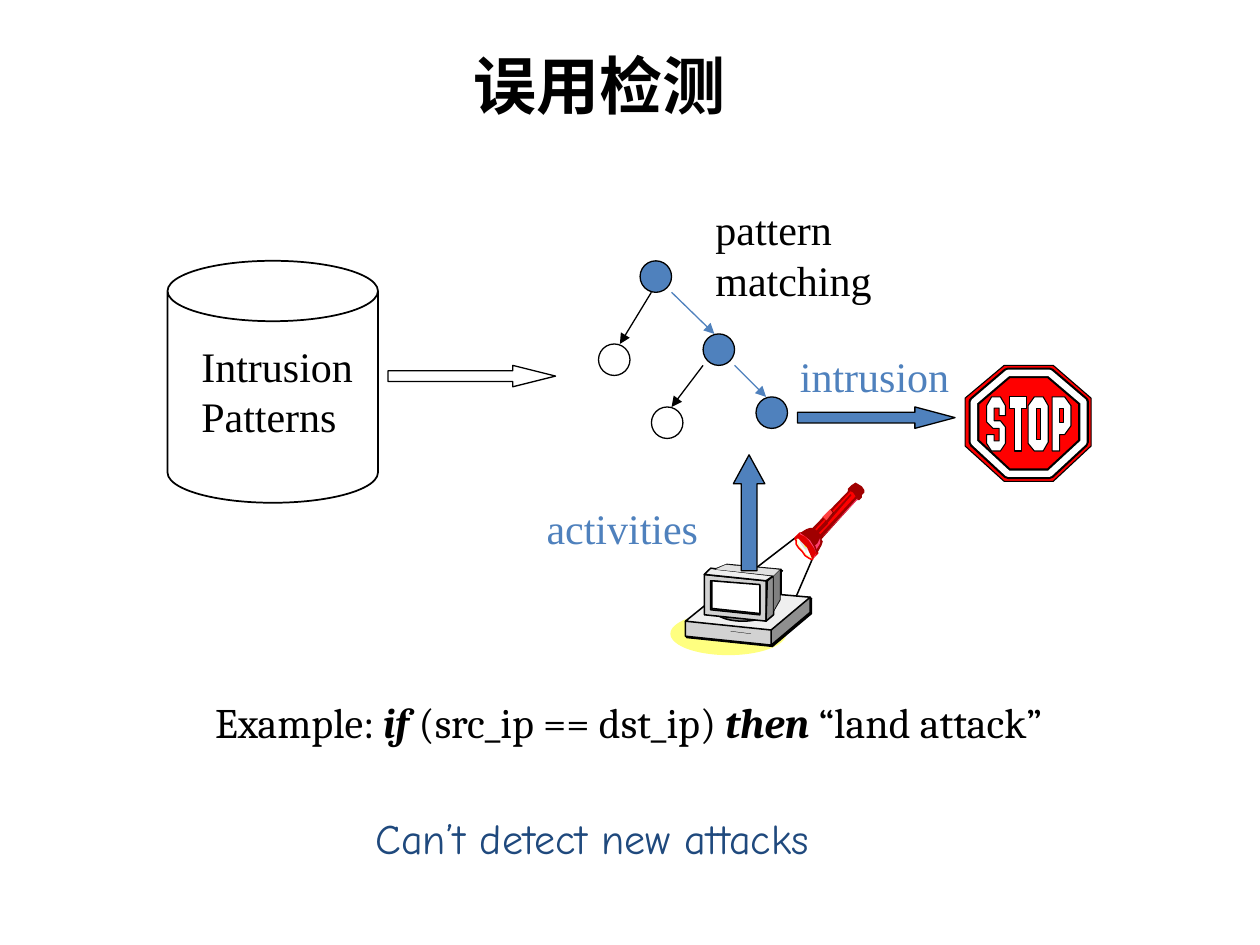
from lxml.etree import SubElement
from pptx import Presentation
from pptx.dml.color import RGBColor
from pptx.enum.shapes import MSO_CONNECTOR, MSO_SHAPE
from pptx.enum.text import MSO_ANCHOR, MSO_AUTO_SIZE, PP_ALIGN
from pptx.oxml.ns import qn
from pptx.util import Inches, Pt

BLACK = RGBColor(0x00, 0x00, 0x00)
WHITE = RGBColor(0xFF, 0xFF, 0xFF)
BLUE = RGBColor(0x4F, 0x81, 0xBD)
NAVY = RGBColor(0x1F, 0x49, 0x7D)
RED = RGBColor(0xFF, 0x00, 0x00)
ROSE = RGBColor(0xFF, 0x40, 0x70)
CORAL = RGBColor(0xFF, 0x40, 0x40)
CRIMSON = RGBColor(0xE1, 0x00, 0x00)
BRICK = RGBColor(0xC2, 0x00, 0x00)
DARK_RED = RGBColor(0xA0, 0x00, 0x00)
MAROON = RGBColor(0x80, 0x00, 0x00)
YELLOW = RGBColor(0xFF, 0xFF, 0x00)
GLOW = RGBColor(0xFF, 0xFF, 0x80)
CREAM = RGBColor(0xFF, 0xFF, 0xC2)
PALE = RGBColor(0xEF, 0xEF, 0xEF)
SILVER = RGBColor(0xE1, 0xE1, 0xE1)
LIGHT_GRAY = RGBColor(0xD2, 0xD2, 0xD2)
MID_GRAY = RGBColor(0x8F, 0x8F, 0x8F)
GRAY = RGBColor(0x80, 0x80, 0x80)
DARK_GRAY = RGBColor(0x5F, 0x5F, 0x5F)

THIN, FINE, HAIR, SIGN = 0.75, 0.88, 0.13, 0.63  # line widths in points

# Content: labels (text, left, top, width, height, colour)
LABELS = [
    ("Intrusion Patterns", 1.5, 2.65, 1.67, 0.9, BLACK),
    ("activities", 4.24, 3.94, 1.5, 0.5, BLUE),
    ("pattern matching", 5.58, 1.57, 1.67, 0.9, BLACK),
    ("intrusion", 6.25, 2.73, 1.58, 0.5, BLUE),
]
EXAMPLE = [("Example: ", False), ("if", True), (" (src_ip == dst_ip) ", False),
           ("then", True), (" “land attack”", False)]

# Pattern tree: nodes (left, top, fill) and edges (from, to, colour)
NODES = [(5.08, 2.07, BLUE), (5.58, 2.65, BLUE), (4.75, 2.73, None),
         (6, 3.15, BLUE), (5.17, 3.23, None)]
EDGES = [(5.17, 2.32, 4.92, 2.73, BLACK), (5.33, 2.32, 5.67, 2.65, BLUE),
         (5.58, 2.9, 5.33, 3.23, BLACK), (5.83, 2.9, 6.08, 3.15, BLUE)]

# Block arrows (shape, box, head adjustment, fill)
UP_ARROW = (MSO_SHAPE.UP_ARROW, (5.82, 3.61, 0.25, 0.92), 0.917, BLUE)
SIDE_ARROWS = [(MSO_SHAPE.RIGHT_ARROW, (3.08, 2.9, 1.33, 0.17), 2, None),
               (MSO_SHAPE.RIGHT_ARROW, (6.33, 3.23, 1.25, 0.17), 1.875, BLUE)]

# Outlines: (points, fill, line colour, line width)
BEAMS = [(6.31, 4.27, 5.4, 4.97), (6.45, 4.43, 6.23, 4.94)]
LENS = [
    ("6.32,4.27 6.31,4.28 6.32,4.29 6.32,4.32 6.34,4.35 6.37,4.38 6.39,4.41 6.42,4.43 6.44,4.44 "
     "6.45,4.44 6.45,4.41 6.44,4.38 6.4,4.32 6.35,4.27 6.33,4.26 6.32,4.26", CREAM, RED, FINE),
    ("6.33,4.27 6.34,4.31 6.38,4.37 6.42,4.41 6.45,4.41 6.45,4.39 6.44,4.37 6.4,4.31 6.36,4.28 "
     "6.34,4.27", PALE, None, 0),
    ("6.34,4.28 6.36,4.33 6.39,4.36 6.41,4.36 6.39,4.31 6.36,4.28", SILVER, None, 0),
    ("6.4,4.39 6.42,4.4 6.44,4.4 6.43,4.38 6.43,4.37 6.42,4.36 6.41,4.38 6.42,4.39 6.43,4.39 "
     "6.44,4.4 6.42,4.4", WHITE, WHITE, FINE),
    ("6.38,4.32 6.39,4.34 6.4,4.35 6.4,4.33", YELLOW, None, 0),
]
LENS_GLINT = "6.34,4.28 6.34,4.3 6.35,4.32 6.39,4.38"
TORCH = [
    ("6.45,4.43 6.41,4.34 6.36,4.29 6.34,4.27 6.31,4.27 6.35,4.23 6.4,4.26 6.43,4.29 6.47,4.34 "
     "6.49,4.39", CRIMSON, CRIMSON, FINE),
    ("6.48,4.4 6.52,4.33 6.53,4.3 6.52,4.28 6.8,3.97 6.82,3.97 6.84,3.95 6.84,3.93 6.86,3.91 "
     "6.86,3.89 6.84,3.86 6.79,3.83 6.76,3.85 6.75,3.86 6.73,3.88 6.73,3.9 6.45,4.19 6.43,4.19 "
     "6.4,4.2 6.35,4.23 6.4,4.26 6.43,4.3 6.48,4.39", DARK_RED, None, 0),
    ("6.76,3.93 6.75,3.92 6.48,4.21 6.47,4.2 6.75,3.9 6.77,3.91 6.79,3.94 6.51,4.24 6.5,4.23 "
     "6.56,4.17 6.57,4.16 6.57,4.15", RED, None, 0),
    ("6.47,4.33 6.49,4.31 6.5,4.29 6.51,4.27 6.51,4.31 6.48,4.36 6.48,4.35", ROSE, None, 0),
    ("6.56,4.14 6.53,4.11 6.53,4.1 6.56,4.13", BRICK, None, 0),
    ("6.53,4.1 6.59,4.04 6.61,4.07 6.56,4.13", CORAL, None, 0),
    ("6.55,4.14 6.56,4.13 6.61,4.07 6.62,4.07", MAROON, None, 0),
    ("6.59,4.04 6.62,4.07 6.61,4.07", MAROON, None, 0),
    ("6.53,4.26 6.81,3.96 6.8,3.96", ROSE, None, 0),
    ("6.46,4.42 6.48,4.39 6.46,4.35 6.42,4.29 6.39,4.26 6.35,4.24 6.35,4.23 6.43,4.29 6.46,4.34 "
     "6.48,4.39 6.46,4.43", ROSE, None, 0),
]
COMPUTER_BASE = [
    ("5.67,4.52 5.77,4.48 6.2,4.52 6.12,4.59", PALE, BLACK, FINE),
    ("6.12,5 6.12,5.12 6.43,4.86 6.43,4.74 6.26,4.79", MID_GRAY, BLACK, FINE),
    ("5.44,4.93 5.44,5.05 6.12,5.12 6.12,4.99 5.5,4.92", LIGHT_GRAY, BLACK, FINE),
    ("5.44,4.93 5.75,4.68 6.43,4.74 6.12,5", PALE, BLACK, FINE),
]
MONITOR = [
    ("5.59,4.56 5.59,4.88 6.08,4.93 6.08,4.61", LIGHT_GRAY, BLACK, FINE),
    ("5.59,4.56 5.64,4.51 6.14,4.57 6.08,4.61", PALE, BLACK, FINE),
    ("6.19,4.52 6.19,4.76 6.12,4.88 6.12,4.59", MID_GRAY, BLACK, FINE),
    ("6.14,4.57 6.14,4.88 6.08,4.93 6.09,4.61", MID_GRAY, BLACK, FINE),
]
SCREEN = [
    ("5.64,4.61 6.03,4.65 6.03,4.88 5.64,4.84", GRAY, BLACK, FINE),
    ("5.65,4.61 6.03,4.64 6.03,4.87 5.65,4.83", WHITE, BLACK, FINE),
    ("6.14,4.85 6.14,4.57 6.19,4.52 6.19,4.76", GRAY, BLACK, HAIR),
    ("5.67,4.52 6.14,4.57 6.19,4.52 5.76,4.48", SILVER, BLACK, HAIR),
    ("5.96,5.03 5.8,5.01 5.96,5.03", DARK_GRAY, BLACK, HAIR),
]
RING = "7.73,3.19 8,2.96 8.33,2.96 8.6,3.19 8.6,3.51 8.33,3.76 8,3.76 7.73,3.51"
STOP_SIGN = [
    ("7.66,3.16 7.97,2.9 8.36,2.9 8.66,3.16 8.66,3.54 8.36,3.82 7.97,3.82 7.66,3.54",
     RED, BLACK, SIGN),
    (RING, None, BLACK, 6.13),
    (RING, None, WHITE, 3.63),
    ("8.35,3.15 8.45,3.15 8.5,3.22 8.5,3.38 8.45,3.45 8.41,3.45 8.41,3.58 8.35,3.58",
     WHITE, BLACK, SIGN),
    ("8.21,3.15 8.28,3.15 8.32,3.22 8.32,3.51 8.28,3.58 8.21,3.58 8.16,3.52 8.16,3.22",
     WHITE, BLACK, SIGN),
    ("7.87,3.15 7.94,3.15 7.98,3.22 7.98,3.3 7.93,3.3 7.93,3.24 7.89,3.24 7.89,3.34 7.94,3.34 "
     "7.98,3.39 7.98,3.52 7.94,3.58 7.87,3.58 7.83,3.52 7.83,3.45 7.89,3.45 7.89,3.5 7.93,3.5 "
     "7.93,3.4 7.88,3.4 7.83,3.35 7.83,3.22", WHITE, BLACK, SIGN),
    ("8.01,3.15 8.15,3.15 8.15,3.24 8.11,3.24 8.11,3.58 8.05,3.58 8.05,3.24 8.01,3.24",
     WHITE, BLACK, SIGN),
]
LETTER_HOLES = [(8.23, 3.24, 0.03, 0.25), (8.41, 3.24, 0.03, 0.11)]

prs = Presentation()
prs.slide_width, prs.slide_height = Inches(10), Inches(7.5)
s = prs.slides.add_slide(prs.slide_layouts[6])


def paint(sp, fill, line, width):
    sp.shadow.inherit = False
    if fill is None:
        sp.fill.background()
    else:
        sp.fill.solid()
        sp.fill.fore_color.rgb = fill
    if line is None:
        sp.line.fill.background()
    else:
        sp.line.color.rgb = line
        sp.line.width = Pt(width)
    return sp


def add_preset(kind, box, fill=None, line=BLACK, width=THIN):
    return paint(s.shapes.add_shape(kind, *map(Inches, box)), fill, line, width)


def add_block_arrow(kind, box, head, fill):
    sp = add_preset(kind, box, fill)
    sp.adjustments[0], sp.adjustments[1] = 0.5, head


def add_outline(points, fill, line, width, close=True, shift=0):
    xy = [[Inches(float(v) + shift) for v in pt.split(",")] for pt in points.split()]
    fb = s.shapes.build_freeform(*xy[0])
    fb.add_line_segments(xy[1:], close=close)
    paint(fb.convert_to_shape(), fill, line, width)


def add_line(ends, color=BLACK, width=FINE, arrow=False):
    c = s.shapes.add_connector(MSO_CONNECTOR.STRAIGHT, *map(Inches, ends))
    c.line.color.rgb = color
    c.line.width = Pt(width)
    if arrow:
        SubElement(c.line._get_or_add_ln(), qn("a:tailEnd"), type="triangle")
    SubElement(c._element.spPr, qn("a:effectLst"))


def add_text(text, box, font="Times New Roman", size=24, color=BLACK, bold=False,
             align=PP_ALIGN.LEFT, wrap=True, anchor=MSO_ANCHOR.TOP, grow=True):
    """text is a string, or a list of (string, emphasised) runs."""
    tf = s.shapes.add_textbox(*map(Inches, box)).text_frame
    tf.word_wrap, tf.vertical_anchor = wrap, anchor
    tf.auto_size = MSO_AUTO_SIZE.SHAPE_TO_FIT_TEXT if grow else MSO_AUTO_SIZE.NONE
    p = tf.paragraphs[0]
    p.alignment = align
    for part, strong in [(text, False)] if isinstance(text, str) else text:
        r = p.add_run()
        r.text = part
        r.font.name, r.font.size, r.font.color.rgb = font, Pt(size), color
        r.font.bold, r.font.italic = bold or strong, strong


# Pattern store
add_preset(MSO_SHAPE.CAN, (1.33, 2.07, 1.67, 1.92), width=1).adjustments[0] = 0.287

# Torch shining on the computer
for beam in BEAMS:
    add_line(beam)
add_preset(MSO_SHAPE.OVAL, (5.32, 4.86, 0.92, 0.34), GLOW, None)
for part in LENS:
    add_outline(*part)
add_outline(LENS_GLINT, None, WHITE, FINE, close=False)
for part in TORCH:
    add_outline(*part)

# Computer, with a black copy of its body shifted behind it
for points, *_ in COMPUTER_BASE + MONITOR:
    add_outline(points, BLACK, BLACK, FINE, shift=0.01)
for part in COMPUTER_BASE:
    add_outline(*part)
add_preset(MSO_SHAPE.OVAL, (5.67, 4.75, 0.45, 0.18), MID_GRAY, width=FINE)
for part in MONITOR + SCREEN:
    add_outline(*part)
add_block_arrow(*UP_ARROW)

# Pattern tree
for left, top, fill in NODES:
    add_preset(MSO_SHAPE.OVAL, (left, top, 0.25, 0.25), fill)
for *ends, color in EDGES:
    add_line(ends, color, THIN, arrow=True)

# Stop sign and side arrows
for part in STOP_SIGN:
    add_outline(*part)
for hole in LETTER_HOLES:
    add_preset(MSO_SHAPE.RECTANGLE, hole, RED, width=SIGN)
for arrow in SIDE_ARROWS:
    add_block_arrow(*arrow)

# Texts
for text, *box, color in LABELS:
    add_text(text, box, color=color)
add_text("Can’t detect new attacks", (2.67, 6.4, 4.06, 0.5), font="Comic Neue", color=NAVY,
         align=PP_ALIGN.CENTER, wrap=False)
add_text(EXAMPLE, (1.61, 5.48, 6.76, 0.5), font="Cambria", wrap=False)
add_text("误用检测", (1.25, 0.24, 7.02, 0.85), font="Calibri", size=36, bold=True,
         align=PP_ALIGN.CENTER, anchor=MSO_ANCHOR.MIDDLE, grow=False)

prs.save("out.pptx")
